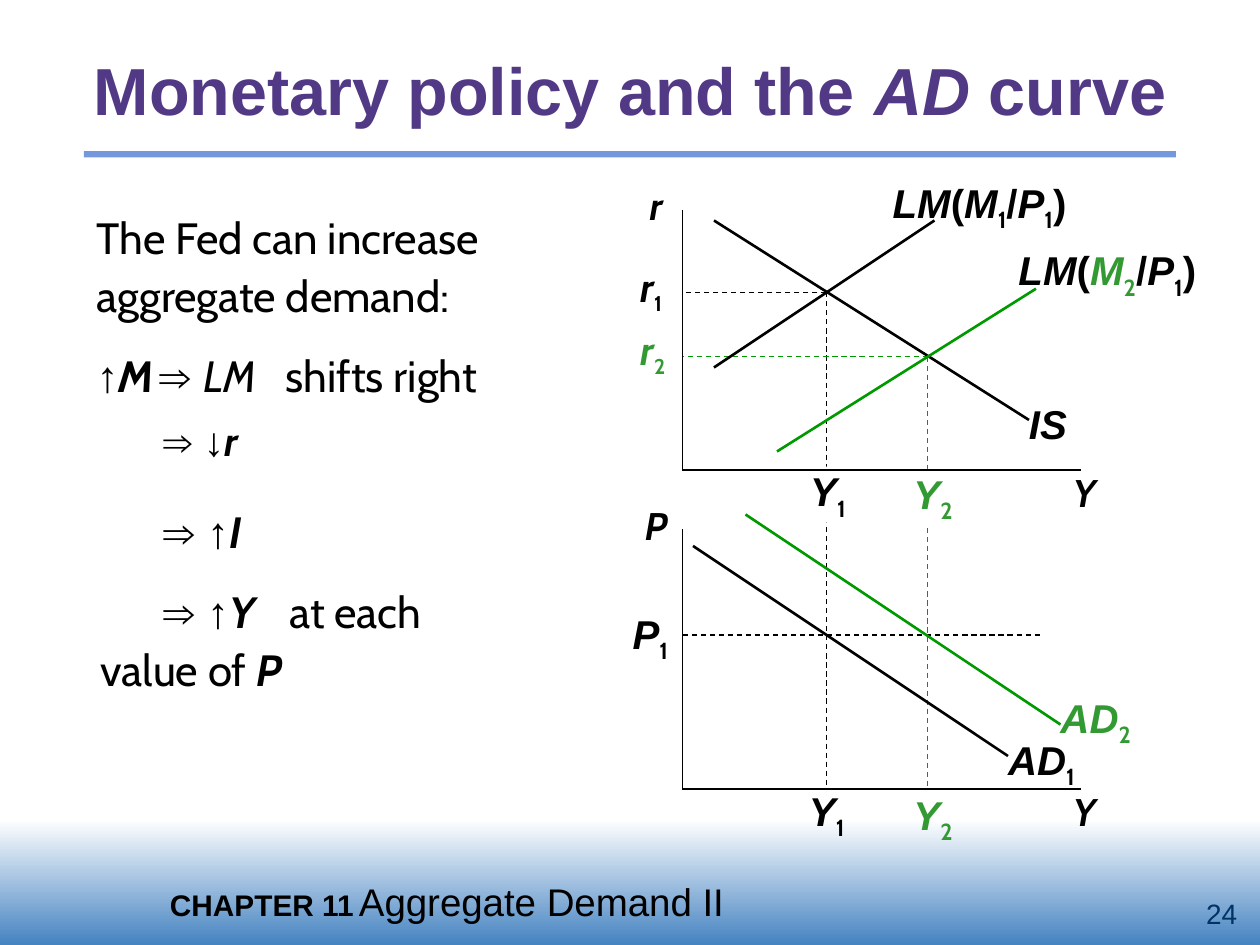
"""Build the slide on monetary policy and the AD curve."""
from dataclasses import dataclass
from typing import Optional

from lxml import etree
from pptx import Presentation
from pptx.dml.color import RGBColor
from pptx.enum.dml import MSO_LINE
from pptx.enum.shapes import MSO_CONNECTOR, MSO_SHAPE
from pptx.enum.text import MSO_ANCHOR, MSO_AUTO_SIZE, PP_ALIGN
from pptx.oxml.ns import qn
from pptx.util import Pt

RECT = MSO_SHAPE.RECTANGLE
STRAIGHT = MSO_CONNECTOR.STRAIGHT
DASH = MSO_LINE.DASH
TOP, MIDDLE = MSO_ANCHOR.TOP, MSO_ANCHOR.MIDDLE
LEFT, CENTER, RIGHT = PP_ALIGN.LEFT, PP_ALIGN.CENTER, PP_ALIGN.RIGHT
NO_FIT = MSO_AUTO_SIZE.NONE

COLORS = {
    "white": "FFFFFF", "black": "000000", "title": "523985", "rule": "7598DD",
    "footer": "4583C1", "number": "003366", "curve": "009900", "label": "339933",
}
HEAD, BODY = "Arial", "Cabin"
INSETS = (7.2, 3.6, 7.2, 3.6)
AXIS_X, AXIS_END, AXIS_HEIGHT = 390, 618, 148.5
IS_LM_TOP, AD_TOP = 120, 302.4
AD_BOTTOM = AD_TOP + AXIS_HEIGHT
Y1, Y2, R1, R2, P1 = 472.3, 530.2, 167, 203.8, 362.9


@dataclass
class Run:
    text: str
    size: float = 23
    font: str = HEAD
    color: str = "black"
    bold: bool = False
    italic: bool = False
    sub: bool = False


@dataclass
class Label:
    left: float
    top: float
    width: float
    runs: list[Run]
    fill: Optional[str] = None


@dataclass
class Line:
    x1: float
    y1: float
    x2: float
    y2: float
    color: str = "black"
    width: float = 1.5
    dashed: bool = False


def rgb(name: str) -> RGBColor:
    return RGBColor.from_string(COLORS[name])


def var(text: str, color: str = "black", font: str = HEAD, size: float = 23) -> Run:
    return Run(text, size, font, color, bold=True, italic=True)


def sub(text: str, color: str = "black", size: float = 23) -> Run:
    return Run(text, size, BODY, color, bold=True, sub=True)


def sign(text: str) -> Run:
    return Run(text, bold=True)


def lm_runs(m: str, color: str) -> list[Run]:
    return [var("LM"), sign("("), var("M", color), sub(m, color), sign("/"),
            var("P"), sub("1"), sign(")")]


def add_run(p, run: Run) -> None:
    if run.text == "\n":
        p.add_line_break()
        return
    r = p.add_run()
    r.text = run.text
    r.font.size, r.font.name = Pt(run.size), run.font
    r.font.bold, r.font.italic = run.bold, run.italic
    r.font.color.rgb = rgb(run.color)
    if run.sub:
        r._r.get_or_add_rPr().set("baseline", "-25000")


def write(s, paragraphs: list[list[Run]], *, align=LEFT, anchor=TOP, insets=INSETS,
          spacing: float = 1, before: float = 0, tabs: tuple = ()) -> None:
    tf = s.text_frame
    tf.word_wrap, tf.auto_size, tf.vertical_anchor = True, NO_FIT, anchor
    tf.margin_left, tf.margin_top, tf.margin_right, tf.margin_bottom = map(Pt, insets)
    for i, runs in enumerate(paragraphs):
        p = tf.add_paragraph() if i else tf.paragraphs[0]
        pPr = p._p.get_or_add_pPr()
        pPr.set("marL", "0")
        pPr.set("indent", "0")
        etree.SubElement(pPr, qn("a:buNone"))
        if tabs:
            tab_list = etree.SubElement(pPr, qn("a:tabLst"))
            for pos in tabs:
                etree.SubElement(tab_list, qn("a:tab"), pos=str(Pt(pos)), algn="l")
        p.alignment, p.line_spacing = align, spacing
        p.space_before = Pt(before if i else 0)
        for run in runs:
            add_run(p, run)


def place(s, left: float, top: float, width: float, height: float):
    s.left, s.top, s.width, s.height = map(Pt, (left, top, width, height))
    return s


def add_box(sp, left: float, top: float, width: float, height: float):
    return sp.add_textbox(*map(Pt, (left, top, width, height)))


def add_rect(sp, left: float, top: float, width: float, height: float):
    s = sp.add_shape(RECT, *map(Pt, (left, top, width, height)))
    s.shadow.inherit = False
    s.line.fill.background()
    return s


def add_label(sp, label: Label) -> None:
    s = add_box(sp, label.left, label.top, label.width, 32)
    if label.fill:
        s.fill.solid()
        s.fill.fore_color.rgb = rgb(label.fill)
    write(s, [label.runs], insets=(0, 0, 0, 0))


def add_line(sp, line: Line) -> None:
    s = sp.add_connector(STRAIGHT, *map(Pt, (line.x1, line.y1, line.x2, line.y2)))
    s.line.color.rgb, s.line.width = rgb(line.color), Pt(line.width)
    if line.dashed:
        s.line.dash_style = DASH
    etree.SubElement(s._element.spPr, qn("a:effectLst"))


def add_axes(sp, top: float, name: str) -> None:
    bottom = top + AXIS_HEIGHT
    add_line(sp, Line(AXIS_X, top, AXIS_X, bottom, width=1))
    add_line(sp, Line(AXIS_X, bottom, AXIS_END, bottom, width=1))
    write(add_box(sp, 606, bottom - 4.3, 42, 34), [[var("Y", font=BODY, size=22)]])
    write(add_box(sp, 360, top - 19.3, 30, 34), [[var(name, font=BODY, size=22)]],
          align=CENTER)


def main() -> None:
    prs = Presentation()
    prs.slide_width, prs.slide_height = Pt(720), Pt(540)
    slide = prs.slides.add_slide(prs.slide_layouts[1])
    sp = slide.shapes

    band = add_rect(sp, 0, 468, 720, 72)
    band.fill.gradient()
    band.fill.gradient_angle = 270
    for stop, name in zip(band.fill.gradient_stops, ("white", "footer")):
        stop.color.rgb = rgb(name)
    rule = add_rect(sp, 48, 86.4, 624, 3.6)
    rule.fill.solid()
    rule.fill.fore_color.rgb = rgb("rule")

    title = {"size": 38, "color": "title", "bold": True}
    write(place(sp.title, 30, 18, 660, 66),
          [[Run("Monetary policy and the ", **title), Run("AD", italic=True, **title),
            Run(" curve", **title)]], align=CENTER, anchor=MIDDLE)
    write(add_box(sp, 90, 498.2, 600, 34),
          [[Run("CHAPTER 11", 17, bold=True), Run("\tAggregate Demand II", 22)]],
          tabs=(128.5,))
    write(add_box(sp, 624, 510, 90, 24), [[Run("24", 16, color="number")]],
          align=RIGHT, anchor=MIDDLE)

    text = {"size": 25, "font": BODY}
    write(place(slide.placeholders[1], 48, 114, 294, 342), [
        [Run("The Fed can increase aggregate demand:", **text)],
        [Run("↑", 25), var("M", **text), Run("\t⇒ ", 25), Run("LM", italic=True, **text),
         Run("\tshifts right", **text)],
    ], spacing=1.1, before=12.5, tabs=(42, 106))
    write(add_box(sp, 50.4, 234, 294, 36),
          [[Run("\t⇒ ↓", 23.1), var("r", font=BODY, size=23.1)]], tabs=(49.7,))
    write(add_box(sp, 50.4, 282.2, 294, 126), [
        [Run("\t⇒ ↑", 25), var("I", **text)],
        [Run("\t⇒ ↑", 25), var("Y", **text), Run("\tat each", **text), Run("\n"),
         Run("value of ", **text), var("P", **text)],
    ], spacing=1.1, before=12.5, tabs=(49.7, 112.5))

    guides = [
        (AXIS_X, P1, 594, P1, "black"),
        (Y1, R1, Y1, AD_BOTTOM, "black"),
        (Y2, R2, Y2, AD_BOTTOM, "curve"),
        (Y1, R1, AXIS_X, R1, "black"),
        (Y2, R2, AXIS_X, R2, "curve"),
    ]
    for guide in guides:
        add_line(sp, Line(*guide, width=0.75, dashed=True))

    y1_runs = [var("Y"), sub("1")]
    y2_runs = [var("Y", "label"), sub("2", "label")]
    labels = [
        Label(588, 228, 24, [var("IS")]),
        Label(582, 140.4, 114, lm_runs("2", "label"), "white"),
        Label(510, 102, 132, lm_runs("1", "black")),
        Label(576, 420, 54, [var("AD"), sub("1")]),
        Label(606, 396, 54, [var("AD", "label"), sub("2", "label")]),
        Label(361.5, 348, 30, [var("P"), sub("1")]),
        Label(463, 266.7, 30, y1_runs, "white"),
        Label(462.3, 449.3, 30, y1_runs),
        Label(522, 268, 30, y2_runs, "white"),
        Label(522, 451.5, 30, y2_runs),
        Label(366, 150, 30, [var("r", font=BODY), sub("1", size=21)]),
        Label(366, 186, 30, [var("r", "label", BODY), sub("2", "label", 21)]),
    ]
    for label in labels:
        add_label(sp, label)

    curves = [
        Line(408, 126, 588, 240),
        Line(408, 210, 534, 126),
        Line(444, 258, 592, 165, "curve"),
        Line(396, 312, 576, 432),
        Line(426, 294, 606, 414, "curve"),
    ]
    for curve in curves:
        add_line(sp, curve)
    add_axes(sp, IS_LM_TOP, "r")
    add_axes(sp, AD_TOP, "P")
    prs.save("out.pptx")


if __name__ == "__main__":
    main()
